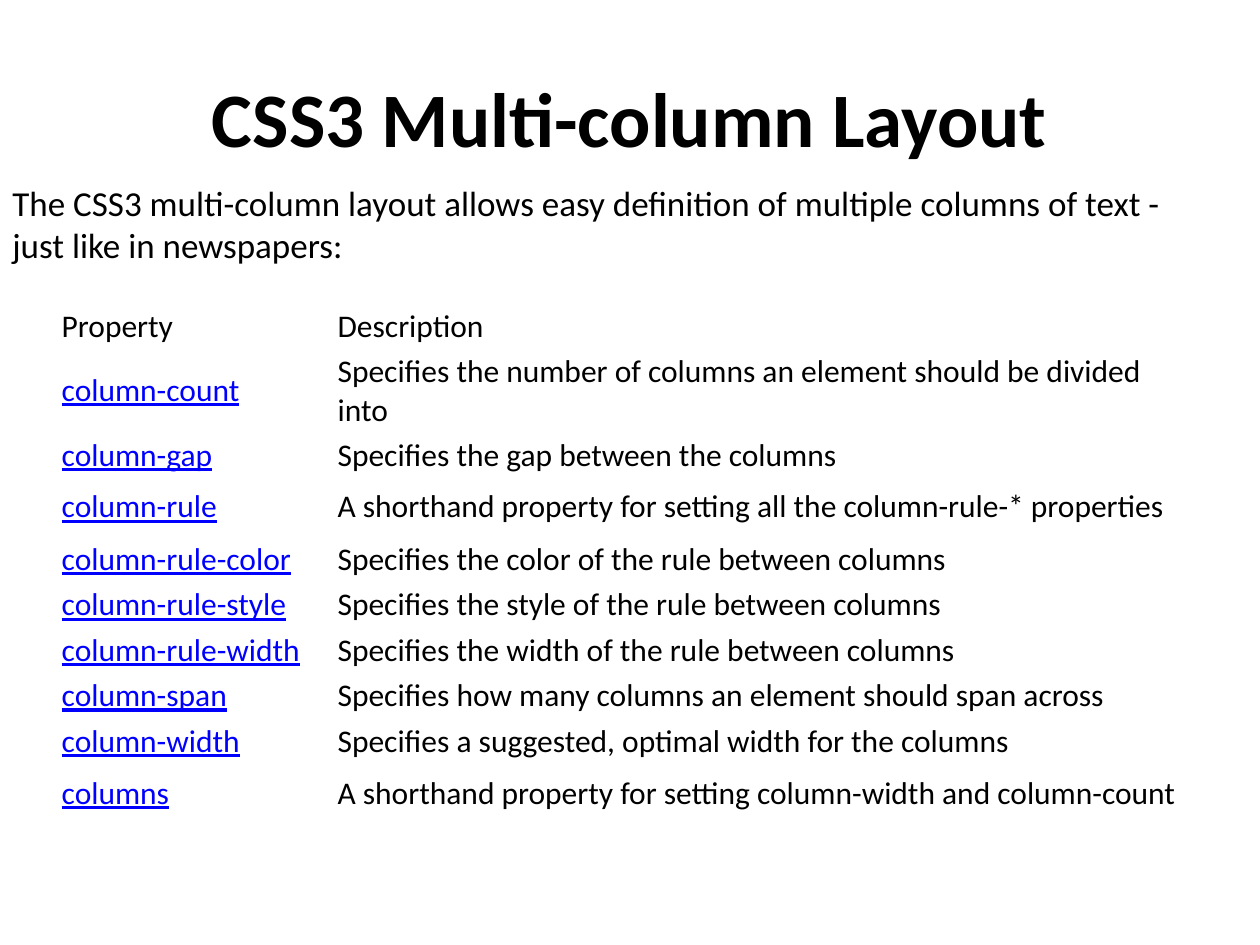
from pptx import Presentation
from pptx import util as u
from pptx.dml.color import RGBColor
from pptx.enum import text

BLACK, LINK = "000000", "0000FF"

deck = Presentation()
deck.slide_width, deck.slide_height = u.Inches(10), u.Inches(7.5)
page = deck.slides.add_slide(deck.slide_layouts[6])


def add_span(para, words, size, color=BLACK, bold=False, underline=False):
    span = para.add_run()
    span.text = words
    span.font.name = "Calibri"
    span.font.size = u.Pt(size)
    span.font.bold = bold
    span.font.underline = underline
    span.font.color.rgb = RGBColor.from_string(color)


def add_box(left, top, width, height, anchor):
    box = page.shapes.add_textbox(*map(u.Inches, (left, top, width, height)))
    box.text_frame.word_wrap = True
    box.text_frame.vertical_anchor = anchor
    return box.text_frame.paragraphs[0]


title = add_box(0.5, 0.3, 9, 1.25, text.MSO_ANCHOR.MIDDLE)
title.alignment = text.PP_ALIGN.CENTER
add_span(title, "CSS3 Multi-column Layout", 44, bold=True)

intro = add_box(0, 1.39, 9.5, 5.31, text.MSO_ANCHOR.TOP)
intro.space_before = u.Pt(4)
add_span(intro, "The CSS3 multi-column layout allows easy definition of multiple "
                "columns of text - just like in newspapers:", 20)

SHORT, TALL = 0.33, 0.47
properties = [
    (0.2, "Property", "Description"),
    (TALL, "column-count", "Specifies the number of columns an element should be divided into"),
    (SHORT, "column-gap", "Specifies the gap between the columns"),
    (TALL, "column-rule", "A shorthand property for setting all the column-rule-* properties"),
    (SHORT, "column-rule-color", "Specifies the color of the rule between columns"),
    (SHORT, "column-rule-style", "Specifies the style of the rule between columns"),
    (SHORT, "column-rule-width", "Specifies the width of the rule between columns"),
    (SHORT, "column-span", "Specifies how many columns an element should span across"),
    (SHORT, "column-width", "Specifies a suggested, optimal width for the columns"),
    (TALL, "columns", "A shorthand property for setting column-width and column-count"),
]
widths = [2.19, 6.94]
total_height = sum(height for height, *_ in properties)
table = page.shapes.add_table(
    len(properties), len(widths), u.Inches(0.43), u.Inches(2.41),
    u.Inches(sum(widths)), u.Inches(total_height)).table
table.first_row = table.horz_banding = False
for column, width in zip(table.columns, widths):
    column.width = u.Inches(width)

for row, (height, *entries) in enumerate(properties):
    table.rows[row].height = u.Inches(height)
    for column, words in enumerate(entries):
        cell = table.cell(row, column)
        cell.fill.background()
        cell.vertical_anchor = text.MSO_ANCHOR.MIDDLE
        cell.margin_left = cell.margin_right = u.Inches(0.06)
        cell.margin_top = cell.margin_bottom = u.Inches(0.03)
        linked = row > 0 and column == 0
        add_span(cell.text_frame.paragraphs[0], words, 18,
                 LINK if linked else BLACK, underline=linked)

deck.save("out.pptx")
